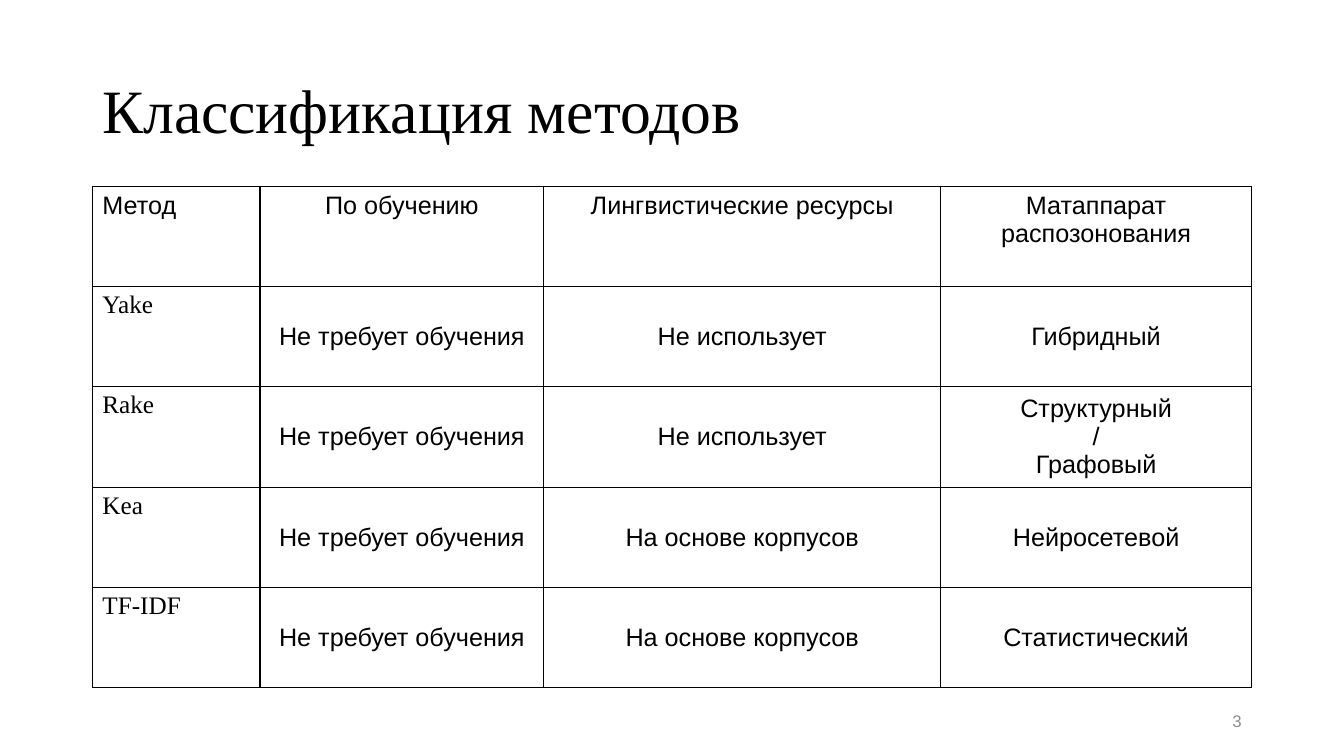
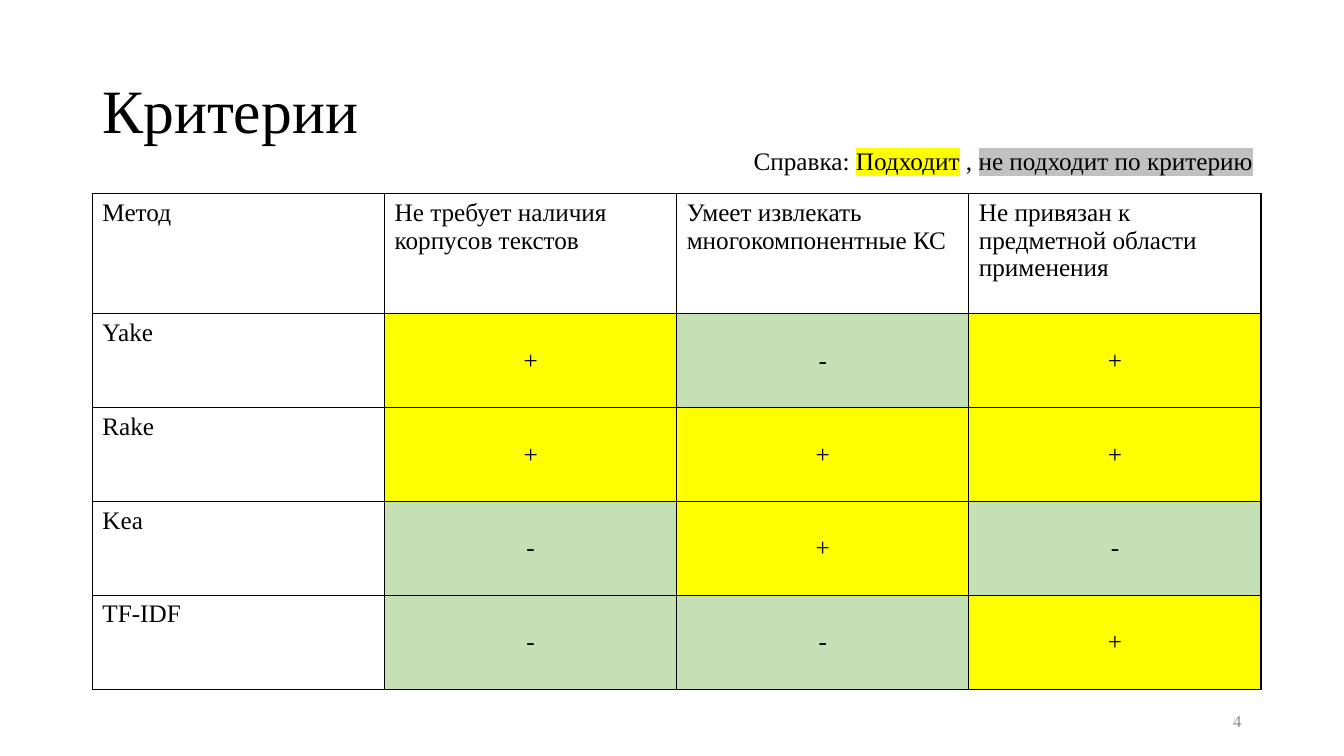
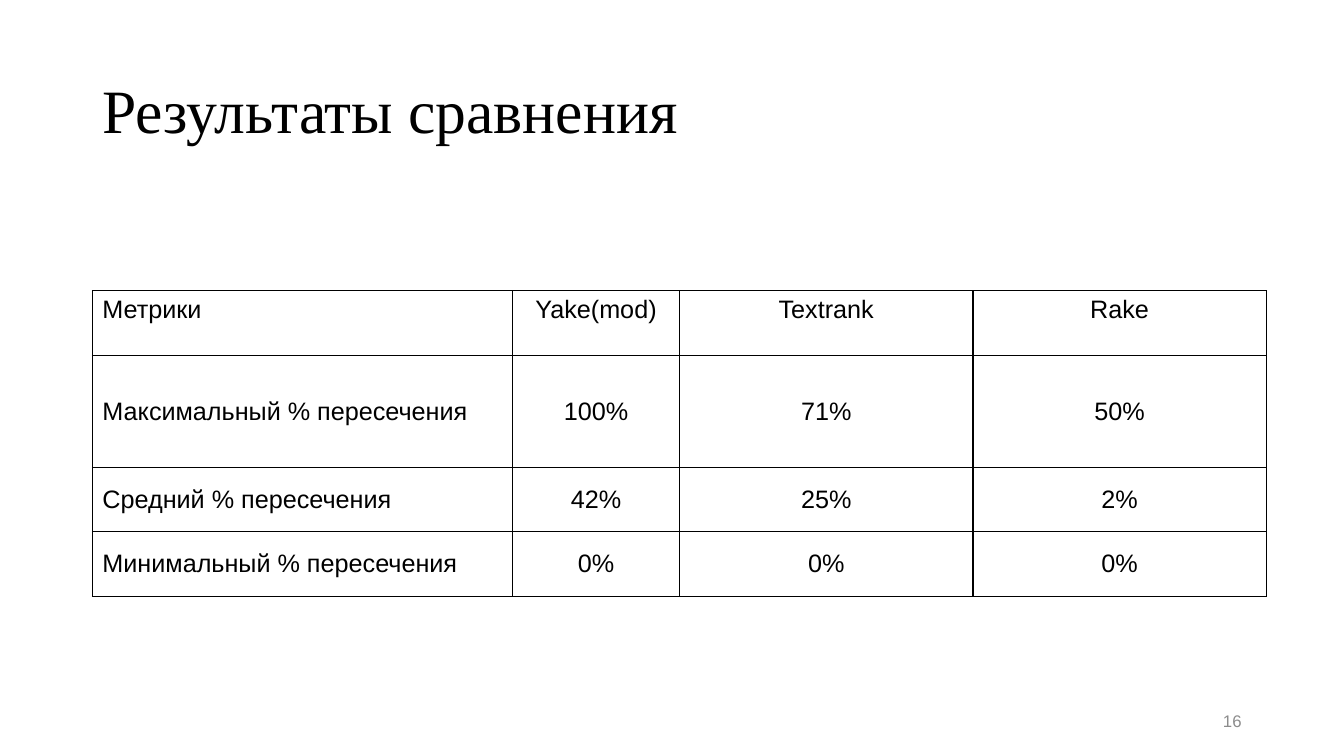
from lxml import etree
from pptx import Presentation
from pptx.dml.color import RGBColor
from pptx.enum.text import MSO_ANCHOR, PP_ALIGN
from pptx.oxml.ns import qn
from pptx.util import Pt

LEFT, CENTER, RIGHT = PP_ALIGN.LEFT, PP_ALIGN.CENTER, PP_ALIGN.RIGHT
TOP, MIDDLE = MSO_ANCHOR.TOP, MSO_ANCHOR.MIDDLE
BLACK = RGBColor(0x00, 0x00, 0x00)
GRAY = RGBColor(0x8C, 0x8C, 0x8C)
SILVER = RGBColor(0xC0, 0xC0, 0xC0)
YELLOW = RGBColor(0xFF, 0xFF, 0x00)
GREEN = RGBColor(0xC5, 0xE0, 0xB4)
SANS, SERIF = "Arial", "Times New Roman"
MARGIN = 66
MARK_FILLS = {"+": YELLOW, "-": GREEN}


class Slides:
    """Holds the shared style and the current page, and draws its elements."""

    def __init__(self):
        self.deck = Presentation()
        self.deck.slide_width, self.deck.slide_height = Pt(960), Pt(540)
        self.page = None

    def add_page(self, title, number, number_font=SANS):
        self.page = self.deck.slides.add_slide(self.deck.slide_layouts[6])
        self.text(MARGIN, 28.8, 828, 104.4, [(title, None)], SERIF, size=44, spacing=0.9)
        self.text(678, 500.4, 216, 28.8, [(number, None)], number_font,
                  size=12, color=GRAY, align=RIGHT)

    def style(self, span, font, size=18, color=BLACK):
        for name, value in {"name": font, "size": Pt(size), "bold": False}.items():
            setattr(span.font, name, value)
        span.font.color.rgb = color

    def highlight(self, span, color):
        mark = etree.Element(qn("a:highlight"))
        etree.SubElement(mark, qn("a:srgbClr"), val=str(color))
        span.font.fill._xPr.find(qn("a:solidFill")).addnext(mark)

    def text(self, left, top, width, height, pieces, font, size=18, color=BLACK,
             align=LEFT, anchor=MIDDLE, spacing=1.0):
        box = self.page.shapes.add_textbox(Pt(left), Pt(top), Pt(width), Pt(height))
        box.text_frame.word_wrap = True
        box.text_frame.vertical_anchor = anchor
        para = box.text_frame.paragraphs[0]
        para.alignment, para.line_spacing = align, spacing
        for words, mark in pieces:
            span = para.add_run()
            span.text = words
            self.style(span, font, size, color)
            if mark is not None:
                self.highlight(span, mark)

    def border(self, cell):
        properties = cell._tc.get_or_add_tcPr()
        for index, side in enumerate(("lnL", "lnR", "lnT", "lnB")):
            line = etree.Element(qn(f"a:{side}"), w=str(Pt(1)))
            fill = etree.SubElement(line, qn("a:solidFill"))
            etree.SubElement(fill, qn("a:srgbClr"), val=str(BLACK))
            properties.insert(index, line)

    def cell(self, cell, words, font, align, anchor):
        cell.text = words
        cell.vertical_anchor = anchor
        if words in MARK_FILLS:
            cell.fill.solid()
            cell.fill.fore_color.rgb = MARK_FILLS[words]
        else:
            cell.fill.background()
        self.border(cell)
        for para in cell.text_frame.paragraphs:
            para.alignment = align
            for span in para.runs:
                self.style(span, font)

    def table(self, top, widths, heights, rows, font=SANS, name_font=SANS,
              name_anchor=TOP, header_align=CENTER):
        table = self.page.shapes.add_table(
            len(heights), len(widths), Pt(MARGIN), Pt(top),
            Pt(sum(widths)), Pt(sum(heights))).table
        table.first_row = table.horz_banding = False
        for column, width in zip(table.columns, widths):
            column.width = Pt(width)
        for row, height in zip(table.rows, heights):
            row.height = Pt(height)
        for r, row in enumerate(rows):
            for c, words in enumerate(row):
                if r == 0:
                    look = font, header_align if c else LEFT, TOP
                elif c == 0:
                    look = name_font, LEFT, name_anchor
                else:
                    look = font, CENTER, MIDDLE
                self.cell(table.cell(r, c), words, *look)


def main():
    slides = Slides()

    slides.add_page("Классификация методов", "3")
    untrained, unused, corpora = "Не требует обучения", "Не использует", "На основе корпусов"
    slides.table(133, [119.8, 202.6, 283.6, 222], [71.5] * 5, [
        ["Метод", "По обучению", "Лингвистические ресурсы", "Матаппарат распозонования"],
        ["Yake", untrained, unused, "Гибридный"],
        ["Rake", untrained, unused, "Структурный\n/\nГрафовый"],
        ["Kea", untrained, corpora, "Нейросетевой"],
        ["TF-IDF", untrained, corpora, "Статистический"],
    ], name_font=SERIF)

    slides.add_page("Критерии", "4", SERIF)
    slides.table(138.3, [208.7] * 4, [85.7] + [67.1] * 4, [
        ["Метод", "Не требует наличия корпусов текстов",
         "Умеет извлекать многокомпонентные КС",
         "Не привязан к предметной области применения"],
        ["Yake", *"+-+"],
        ["Rake", *"+++"],
        ["Kea", *"-+-"],
        ["TF-IDF", *"--+"],
    ], font=SERIF, name_font=SERIF, header_align=LEFT)
    slides.text(531.2, 100.3, 428.8, 29, [
        ("Справка: ", None), ("Подходит", YELLOW), (" , ", None),
        ("не подходит по критерию", SILVER),
    ], SERIF, anchor=TOP)

    slides.add_page("Результаты сравнения", "16")
    slides.table(207.7, [300, 119.5, 209.5, 209.5], [46.2, 79.8, 46.2, 46.2], [
        ["Метрики", "Yake(mod)", "Textrank", "Rake"],
        ["Максимальный % пересечения", "100%", "71%", "50%"],
        ["Средний % пересечения", "42%", "25%", "2%"],
        ["Минимальный % пересечения", "0%", "0%", "0%"],
    ], name_anchor=MIDDLE)

    slides.deck.save("out.pptx")


if __name__ == "__main__":
    main()
